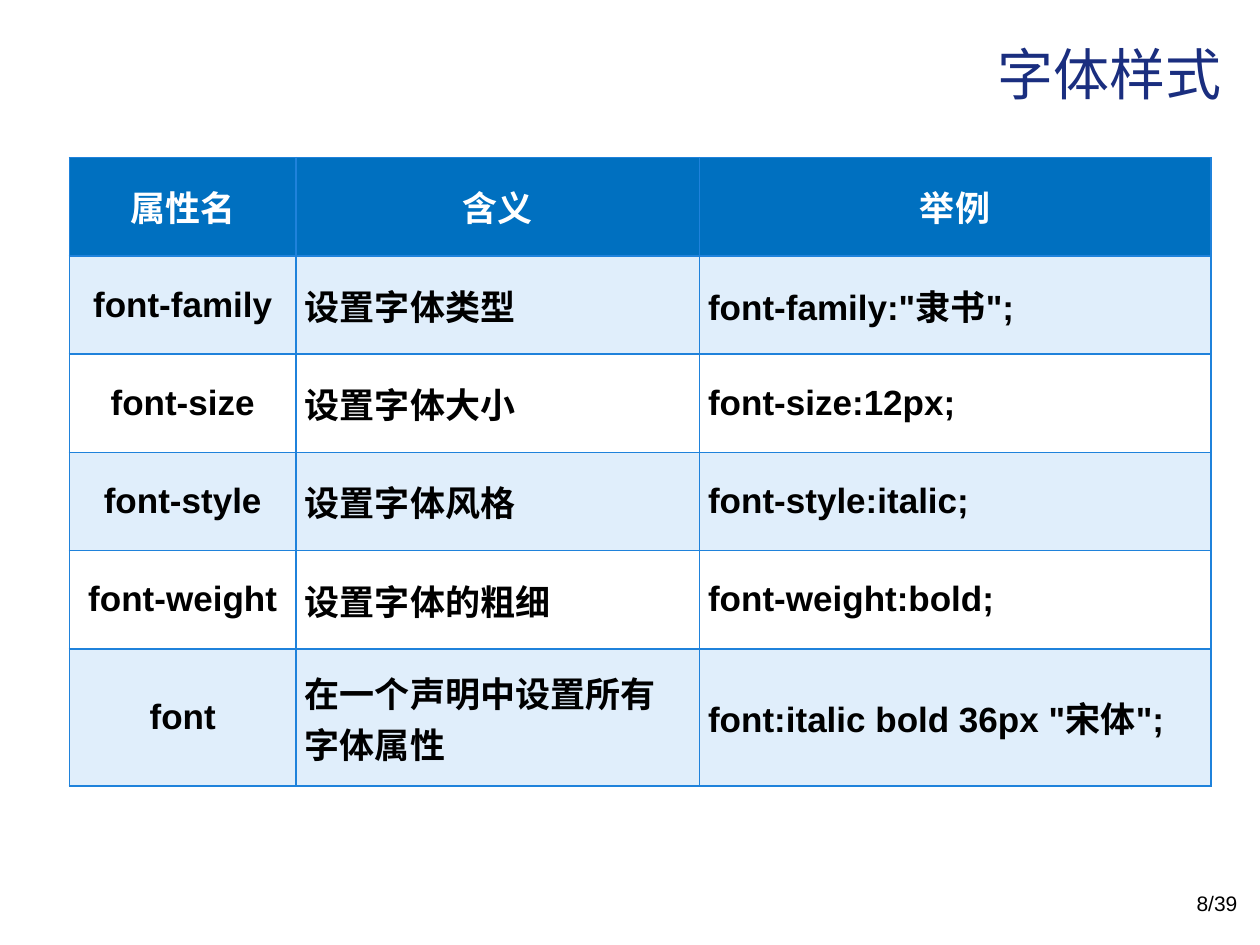
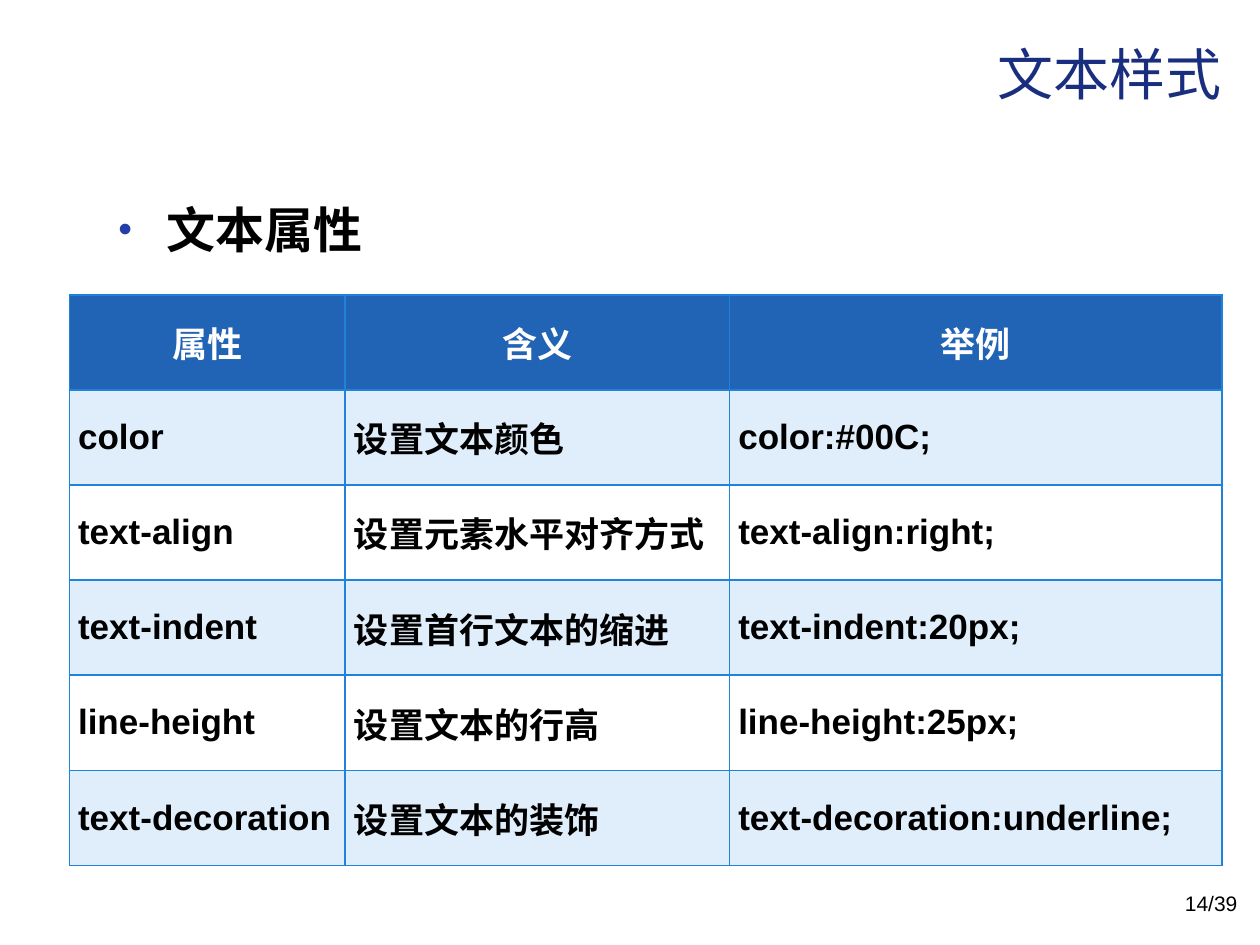
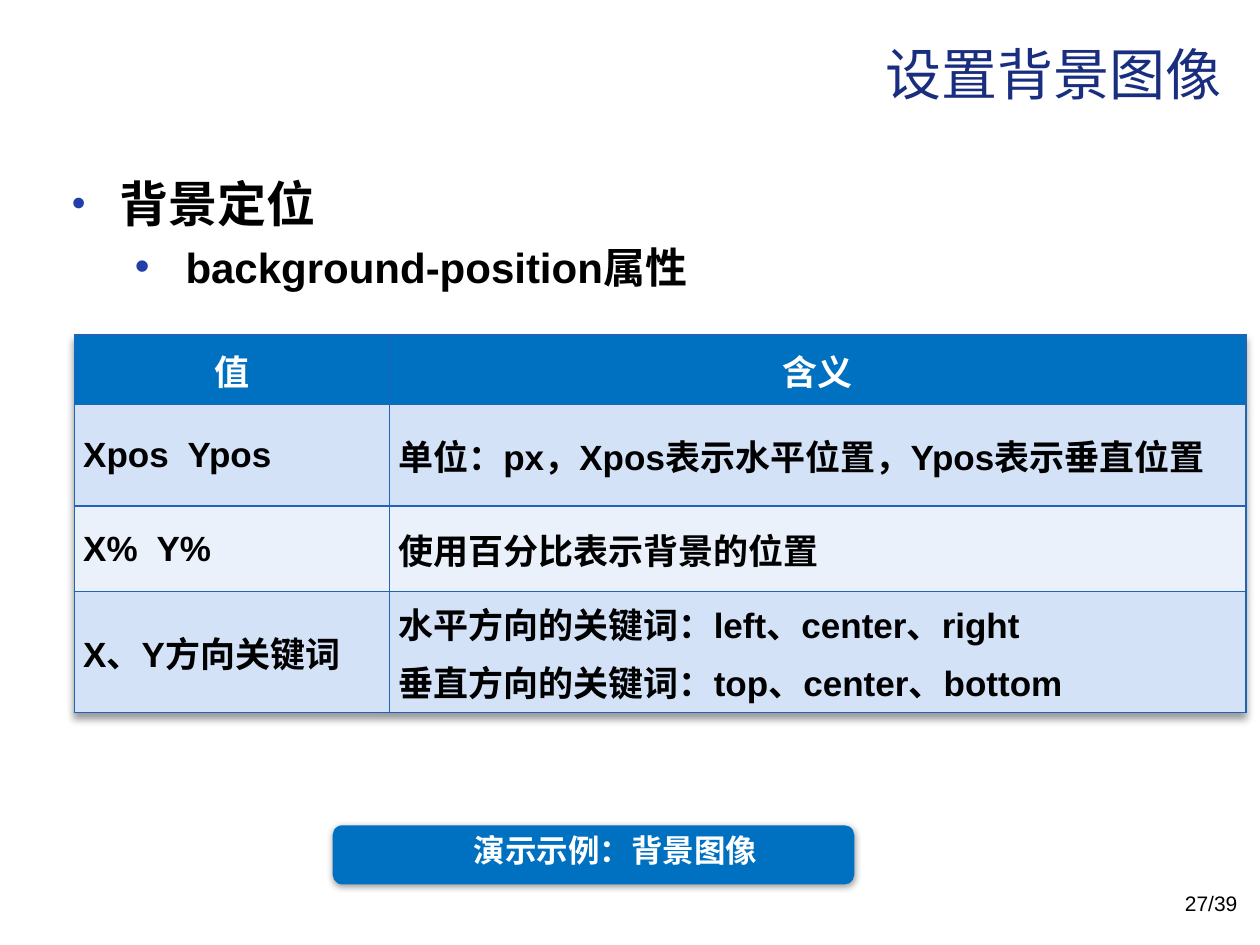
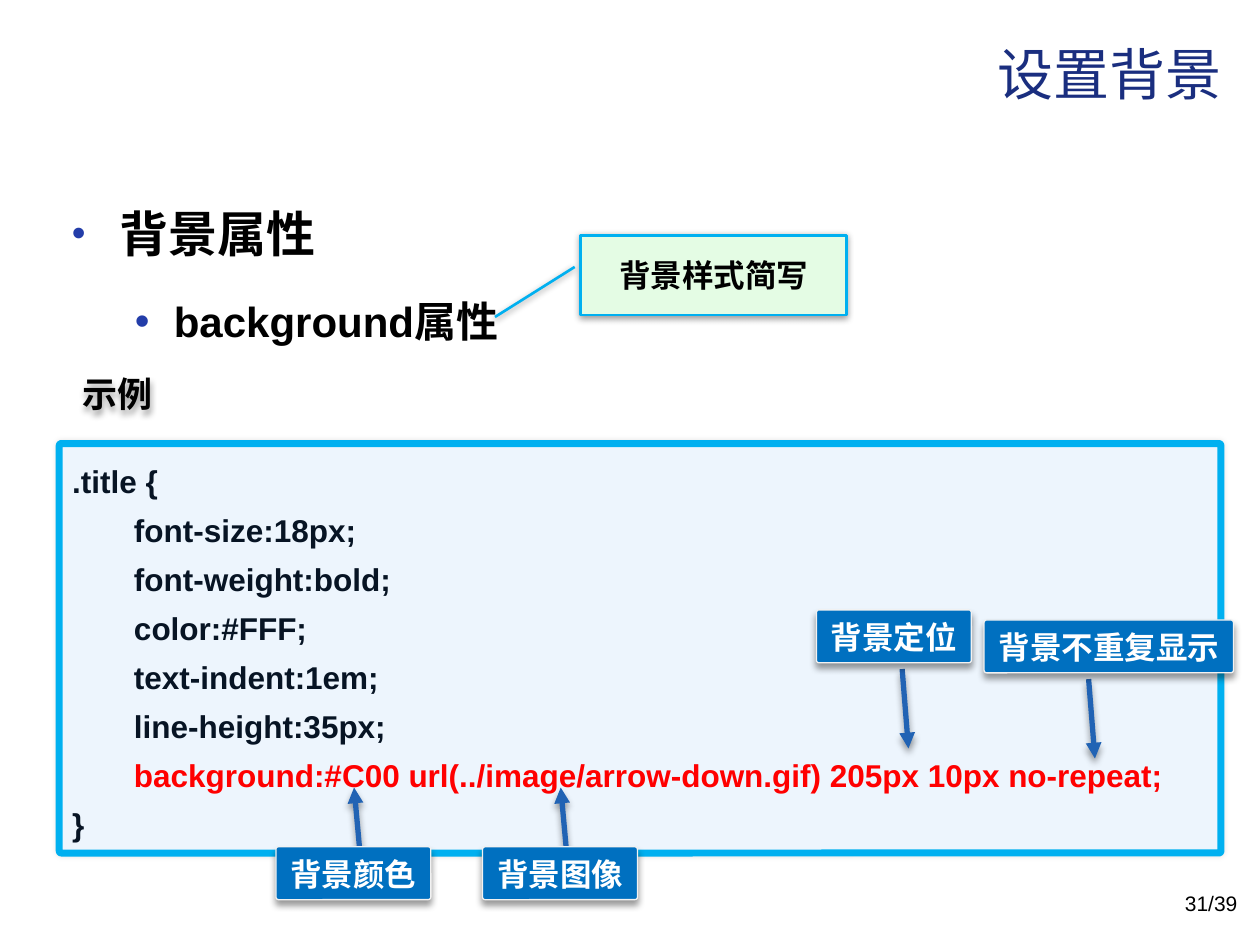
from lxml import etree
from pptx import Presentation
from pptx.dml.color import RGBColor
from pptx.enum import shapes as sh, text as tx
from pptx.oxml.ns import qn
from pptx.util import Inches, Pt

# Shared look
FONT, CJK_FONT = "Arial", "Noto Sans CJK SC"
BLACK = RGBColor(0x00, 0x00, 0x00)
WHITE = RGBColor(0xFF, 0xFF, 0xFF)
TITLE_NAVY = RGBColor(0x1A, 0x2E, 0x7F)
BULLET_BLUE = RGBColor(0x23, 0x3D, 0xA9)
BLUE = RGBColor(0x00, 0x70, 0xC0)
MID_BLUE = RGBColor(0x21, 0x63, 0xB4)
GRID_BLUE = RGBColor(0x1F, 0x82, 0xDB)
PALE_BLUE = RGBColor(0xE0, 0xEE, 0xFB)
BAND_DARK = RGBColor(0xD3, 0xE2, 0xF7)
BAND_LIGHT = RGBColor(0xEA, 0xF1, 0xFB)
CYAN = RGBColor(0x00, 0xB0, 0xF0)
CODE_FILL = RGBColor(0xED, 0xF5, 0xFD)
CODE_INK = RGBColor(0x07, 0x14, 0x24)
RED = RGBColor(0xFF, 0x00, 0x00)
NOTE_GREEN = RGBColor(0xE4, 0xFC, 0xE4)
LABEL_EDGE = RGBColor(0xF2, 0xF2, 0xF2)
SHADOW_GREY = RGBColor(0x26, 0x26, 0x26)
LEFT, CENTER, RIGHT = tx.PP_ALIGN.LEFT, tx.PP_ALIGN.CENTER, tx.PP_ALIGN.RIGHT
TOP, MIDDLE, BOTTOM = tx.MSO_ANCHOR.TOP, tx.MSO_ANCHOR.MIDDLE, tx.MSO_ANCHOR.BOTTOM
PAGES = 39

# Content: bullets are (level, text); a table's first row is its header
SLIDES = [
    dict(page=8, title="字体样式", table=dict(
        at=(0.55, 1.25), cols=[1.8, 3.2, 4.06], heights=[0.78] * 5 + [1.09],
        head=BLUE, bands=(PALE_BLUE, None), grid=GRID_BLUE, centred=[0],
        rows=[
            ("属性名", "含义", "举例"),
            ("font-family", "设置字体类型", 'font-family:"隶书";'),
            ("font-size", "设置字体大小", "font-size:12px;"),
            ("font-style", "设置字体风格", "font-style:italic;"),
            ("font-weight", "设置字体的粗细", "font-weight:bold;"),
            ("font", "在一个声明中设置所有字体属性", 'font:italic bold 36px "宋体";'),
        ])),
    dict(page=14, title="文本样式",
         body=dict(at=(0.84, 1.3, 9, 0.89), spacing=1.5, items=[(0, "文本属性")]),
         table=dict(
             at=(0.55, 2.34), cols=[2.19, 3.05, 3.91], heights=[0.755] * 6,
             head=MID_BLUE, bands=(PALE_BLUE, None), grid=GRID_BLUE, centred=[],
             rows=[
                 ("属性", "含义", "举例"),
                 ("color", "设置文本颜色", "color:#00C;"),
                 ("text-align", "设置元素水平对齐方式", "text-align:right;"),
                 ("text-indent", "设置首行文本的缩进", "text-indent:20px;"),
                 ("line-height", "设置文本的行高", "line-height:25px;"),
                 ("text-decoration", "设置文本的装饰", "text-decoration:underline;"),
             ])),
    dict(page=27, title="设置背景图像",
         body=dict(at=(0.47, 1.33, 5.47, 4.31), spacing=None,
                   items=[(0, "背景定位"), (1, " background-position属性")]),
         table=dict(
             at=(0.59, 2.66), cols=[2.5, 6.8], heights=[0.55, 0.7, 0.68, 0.96],
             head=BLUE, bands=(BAND_DARK, BAND_LIGHT), grid=MID_BLUE, centred=[],
             shadow=True,
             rows=[
                 ("值", "含义"),
                 ("Xpos  Ypos", "单位：px，Xpos表示水平位置，Ypos表示垂直位置"),
                 ("X%  Y%", "使用百分比表示背景的位置"),
                 ("X、Y方向关键词",
                  "水平方向的关键词：left、center、right\n垂直方向的关键词：top、center、bottom"),
             ])),
    dict(page=31, title="设置背景",
         body=dict(at=(0.47, 1.33, 5.47, 1.64), spacing=1.5,
                   items=[(0, "背景属性"), (1, "background属性")])),
]
DEMO = "演示示例：背景图像"
CODE = [".title {", "\tfont-size:18px;", "\tfont-weight:bold;", "\tcolor:#FFF;",
        "\ttext-indent:1em;", "\tline-height:35px;",
        "\tbackground:#C00 url(../image/arrow-down.gif) 205px 10px no-repeat;", "}"]
# text, left, top, width, arrow start x, arrow start y, arrow rise or fall
LABELS = [
    ("背景颜色", 2.19, 6.72, 1.23, 2.86, 6.8, -0.55),
    ("背景图像", 3.83, 6.72, 1.23, 4.5, 6.8, -0.55),
    ("背景定位", 6.48, 4.84, 1.23, 7.16, 5.31, 0.63),
    ("背景不重复显示", 7.81, 4.92, 1.98, 8.64, 5.39, 0.63),
]


def add_xml(parent, tag, **attributes):
    return etree.SubElement(parent, qn(tag), {k: str(v) for k, v in attributes.items()})


def add_shadow(parent, color, alpha, blur, dist, angle):
    effects = add_xml(parent, "a:effectLst")
    outer = add_xml(effects, "a:outerShdw", blurRad=Pt(blur), dist=Pt(dist),
                    dir=angle * 60000, algn="ctr", rotWithShape=0)
    add_xml(add_xml(outer, "a:srgbClr", val=color), "a:alpha", val=alpha * 1000)
    return effects


def style(paragraph, size, color, bold=False, align=LEFT, font=FONT):
    paragraph.alignment = align
    for run in paragraph.runs:
        run.font.name, run.font.size, run.font.bold = font, Pt(size), bold
        run.font.color.rgb = color


def space_before(paragraph):
    before = etree.Element(qn("a:spcBef"))
    add_xml(before, "a:spcPct", val=20000)
    paragraph._p.get_or_add_pPr().insert(0, before)


def place(shape, left, top, width, height):
    shape.left, shape.top = Inches(left), Inches(top)
    shape.width, shape.height = Inches(width), Inches(height)


def write(shape, words, size, color, bold=True, align=CENTER, anchor=TOP,
          wrap=False, font=FONT):
    frame = shape.text_frame
    frame.text = words
    frame.word_wrap, frame.vertical_anchor = wrap, anchor
    frame.auto_size = tx.MSO_AUTO_SIZE.NONE
    for paragraph in frame.paragraphs:
        style(paragraph, size, color, bold, align, font)
    return frame


def add_box(slide, kind, at, fill, edge=None, weight=0, shadow=None, adjust=()):
    box = slide.shapes.add_shape(kind, *map(Inches, at))
    box.fill.solid()
    box.fill.fore_color.rgb = fill
    if edge is None:
        box.line.fill.background()
    else:
        box.line.color.rgb, box.line.width = edge, Pt(weight)
    for i, value in enumerate(adjust):
        box.adjustments[i] = value
    add_shadow(box._element.spPr, *shadow)
    return box


def add_text(slide, at, *args, **kwargs):
    box = slide.shapes.add_textbox(*map(Inches, at))
    write(box, *args, **kwargs)
    return box


def add_body(slide, at, spacing, items):
    body = slide.placeholders[1]
    place(body, *at)
    frame = write(body, "\n".join(words for _, words in items), 28, BLACK,
                  align=LEFT, wrap=True)
    for (level, _), paragraph in zip(items, frame.paragraphs):
        style(paragraph, (28, 24)[level], BLACK, True)
        paragraph.level = level
        space_before(paragraph)
        if spacing:
            paragraph.line_spacing = spacing
        props = paragraph._p.pPr
        margin, indent = ((0.38, -0.38), (0.81, -0.31))[level]
        props.set("marL", str(Inches(margin)))
        props.set("indent", str(Inches(indent)))
        add_xml(add_xml(props, "a:buClr"), "a:srgbClr", val=BULLET_BLUE)
        add_xml(props, "a:buSzPct", val=(80000, 100000)[level])
        add_xml(props, "a:buFont", typeface=FONT)
        add_xml(props, "a:buChar", char="•")


def add_borders(cell, color):
    props = cell._tc.get_or_add_tcPr()
    for i, side in enumerate(("a:lnL", "a:lnR", "a:lnT", "a:lnB")):
        edge = add_xml(props, side, w=Pt(1))
        add_xml(add_xml(edge, "a:solidFill"), "a:srgbClr", val=color)
        props.insert(i, edge)


def add_table(slide, at, cols, heights, head, bands, grid, centred, rows, shadow=False):
    size = sum(cols), sum(heights)
    table = slide.shapes.add_table(len(rows), len(cols), *map(Inches, at + size)).table
    table.horz_banding = False
    if shadow:
        props = table._tbl.tblPr
        props.insert(0, add_shadow(props, BLACK, 40, 4, 3, 90))
    for column, width in zip(table.columns, cols):
        column.width = Inches(width)
    for r, (row, height) in enumerate(zip(rows, heights)):
        table.rows[r].height = Inches(height)
        fill = head if r == 0 else bands[(r - 1) % 2]
        for c, words in enumerate(row):
            cell = table.cell(r, c)
            cell.text = words
            cell.vertical_anchor = MIDDLE
            cell.margin_left = cell.margin_right = Inches(0.07)
            cell.margin_top = cell.margin_bottom = 0
            for paragraph in cell.text_frame.paragraphs:
                style(paragraph, 20, BLACK if r else WHITE, True,
                      CENTER if r == 0 or c in centred else LEFT)
                space_before(paragraph)
            if fill is None:
                cell.fill.background()
            else:
                cell.fill.solid()
                cell.fill.fore_color.rgb = fill
            add_borders(cell, grid)


def add_slide(prs, page, title, body=None, table=None):
    slide = prs.slides.add_slide(prs.slide_layouts[1 if body else 5])
    place(slide.shapes.title, 0.8, 0.09, 9, 0.98)
    write(slide.shapes.title, title, 32, TITLE_NAVY, False, RIGHT, MIDDLE, wrap=True)
    if body:
        add_body(slide, **body)
    if table:
        add_table(slide, **table)
    add_text(slide, (7.59, 7.02, 2.33, 0.4), f"{page}/{PAGES}", 12, BLACK, False,
             RIGHT, wrap=True)
    return slide


def add_demo_banner(slide):
    add_box(slide, sh.MSO_SHAPE.FLOWCHART_ALTERNATE_PROCESS, (2.64, 6.55, 4.14, 0.47),
            BLUE, shadow=(SHADOW_GREY, 43, 4, 1, 90))
    add_text(slide, (3.65, 6.55, 2.47, 0.4), DEMO, 18, WHITE)


def add_code(slide):
    heading = add_text(slide, (0.56, 2.9, 0.77, 0.44), "示例", 20, BLACK, align=LEFT,
                       anchor=MIDDLE, font=CJK_FONT)
    add_shadow(heading._element.spPr, BLACK, 40, 4, 3, 90)
    box = add_box(slide, sh.MSO_SHAPE.ROUNDED_RECTANGLE, (0.47, 3.52, 9.22, 3.25),
                  CODE_FILL, CYAN, 4, (BLACK, 10, 3, 0, 0), [0.005])
    frame = write(box, "\n".join(CODE), 18, CODE_INK, align=LEFT, wrap=True)
    for paragraph in frame.paragraphs:
        paragraph.line_spacing = 1.3
        tabs = add_xml(paragraph._p.pPr, "a:tabLst")
        add_xml(tabs, "a:tab", pos=Inches(0.49), algn="l")
        if "background" in paragraph.text:
            style(paragraph, 18, RED, True)


def add_callout(slide):
    note = add_box(slide, sh.MSO_SHAPE.LINE_CALLOUT_1, (4.61, 1.87, 2.11, 0.63),
                   NOTE_GREEN, CYAN, 1.5, (BLACK, 40, 4, 1, 90),
                   [0.395, 1.023, 1.026, 1.323])
    note._element.spPr.find(qn("a:xfrm")).set("flipH", "1")
    write(note, "背景样式简写", 18, BLACK, anchor=MIDDLE, wrap=True)


def add_label(slide, words, left, top, width, x, y, reach):
    shift = 0.05 if reach > 0 else -0.05
    arrow = slide.shapes.add_connector(
        sh.MSO_CONNECTOR.STRAIGHT, *map(Inches, (x, y, x + shift, y + reach)))
    arrow.line.color.rgb, arrow.line.width = MID_BLUE, Pt(3)
    add_xml(arrow.line._get_or_add_ln(), "a:tailEnd", type="triangle")
    shadow = (BLACK, 40, 4, 3, 90)
    add_shadow(arrow._element.spPr, *shadow)
    label = add_box(slide, sh.MSO_SHAPE.ROUNDED_RECTANGLE, (left, top, width, 0.42),
                    BLUE, LABEL_EDGE, 0.75, shadow, [0.05])
    frame = write(label, words, 18, WHITE, anchor=BOTTOM)
    space_before(frame.paragraphs[0])


def main():
    prs = Presentation()
    prs.slide_width, prs.slide_height = Inches(10), Inches(7.5)
    *_, position_slide, shorthand_slide = [add_slide(prs, **s) for s in SLIDES]
    add_demo_banner(position_slide)
    add_code(shorthand_slide)
    add_callout(shorthand_slide)
    for label in LABELS:
        add_label(shorthand_slide, *label)
    prs.save("out.pptx")


if __name__ == "__main__":
    main()
